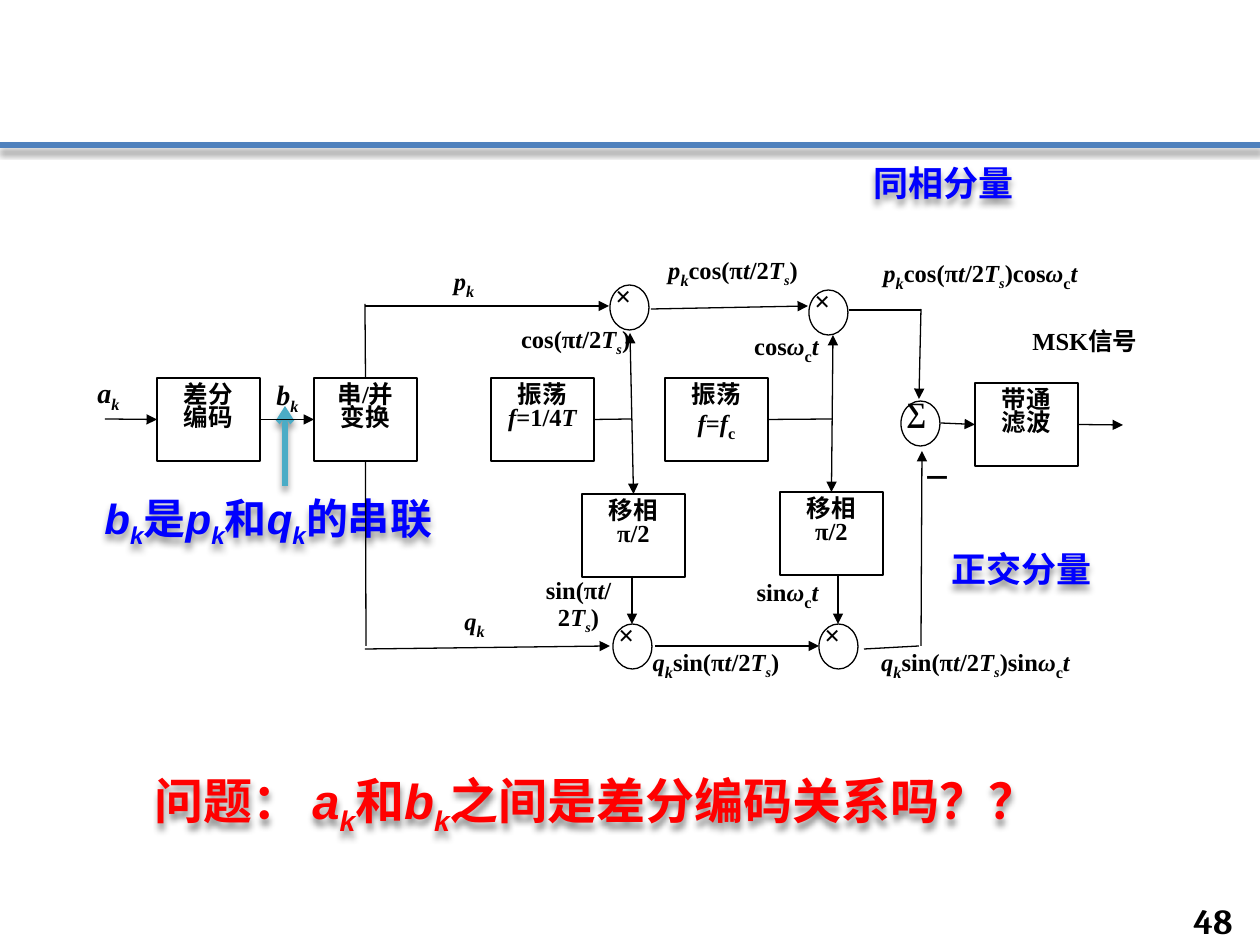
from pptx import Presentation
from pptx.dml.color import RGBColor
from pptx.enum.shapes import MSO_CONNECTOR, MSO_SHAPE
from pptx.enum.text import MSO_ANCHOR, PP_ALIGN
from pptx.oxml.ns import qn
from pptx.util import Emu, Pt
from lxml.etree import SubElement

PX = 914400 / 126
TOP, LEFT, BOTTOM, RIGHT = range(4)
SERIF = "Times New Roman"
BLACK, BLUE, RED = "000000", "0000FF", "FF0000"

# In all texts: ~x is an italic letter, _x an italic subscript, ^x an upright subscript.
BLOCK_SIZE = (103, 83)
BLOCKS = {
    "encoder": (157, 378, "差分\n编码"),
    "splitter": (314, 378, "串/并\n变换"),
    "slow osc": (491, 378, "振荡\n~f=1/4~T"),
    "carrier osc": (665, 378, "振荡\n~f=~f^c"),
    "slow shift": (582, 494, "移相\nπ/2"),
    "carrier shift": (780, 492, "移相\nπ/2"),
    "filter": (975, 383, "带通\n滤波"),
}

NODE_SIZE = (39, 45)
NODES = [
    (610, 285, "×"), (613, 624, "×"), (809, 290, "×"), (819, 624, "×"),
    (901, 401, "∑"),
]

# Each end is a point or a (block, side) pair; then the ends that carry an arrowhead.
WIRES = [
    ((105, 419), ("encoder", LEFT), "tail"),
    (("encoder", RIGHT), ("splitter", LEFT), "tail"),
    (("splitter", TOP), (365, 304), ""),
    ((365, 306), (609, 306), "tail"),
    (("splitter", BOTTOM), (366, 646), ""),
    ((365, 649), (610, 646), "tail"),
    (("slow osc", RIGHT), (631, 419), ""),
    (("slow shift", TOP), (630, 333), "head tail"),
    ((632, 576), (632, 624), "tail"),
    ((651, 309), (808, 306), "tail"),
    (("carrier osc", RIGHT), (833, 419), ""),
    (("carrier shift", TOP), (833, 335), "head tail"),
    ((838, 576), (838, 624), "tail"),
    ((655, 646), (819, 646), "tail"),
    ((849, 310), (921, 310), ""),
    ((921, 309), (919, 399), "tail"),
    ((864, 649), (919, 646), ""),
    ((921, 646), (922, 451), "tail"),
    ((941, 423), ("filter", LEFT), "tail"),
    (("filter", RIGHT), (1123, 425), "tail"),
]

SIGNALS = [
    (77, 373, 63, 50, "~a_k", 16),
    (256, 375, 63, 50, "~b_k", 16),
    (433, 260, 62, 57, "~p_k", 14),
    (438, 600, 73, 50, "~q_k", 14),
    (507, 321, 125, 50, "cos(π~t/2~T_s)", 14),
    (513, 575, 131, 50, "sin(π~t/2~T_s)", 14),
    (721, 325, 131, 50, "cos~ω^c~t", 14),
    (722, 571, 131, 50, "sin~ω^c~t", 14),
    (649, 249, 168, 52, "~p_kcos(π~t/2~T_s)", 14),
    (636, 641, 160, 50, "~q_ksin(π~t/2~T_s)", 14),
    (849, 252, 263, 52, "~p_kcos(π~t/2~T_s)cos~ω^c~t", 14),
    (859, 641, 233, 48, "~q_ksin(π~t/2~T_s)sin~ω^c~t", 14),
    (1005, 325, 160, 50, "MSK信号", 14),
]

REMARKS = [
    (861, 155, 179, 55, "同相分量", 20, BLUE),
    (939, 541, 179, 55, "正交分量", 20, BLUE),
    (92, 486, 384, 63, "~b_k是~p_k和~q_k的串联", 24, BLUE),
    (142, 764, 987, 72, "问题： ~a_k和~b_k之间是差分编码关系吗？？", 28, RED),
]


def px(*lengths):
    return [Emu(round(length * PX)) for length in lengths]


def color(hex_text):
    return RGBColor.from_string(hex_text)


def set_effect(shape, shadow):
    """Give the shape a soft drop shadow, or an empty effect list."""
    effects = SubElement(shape._element.spPr, qn("a:effectLst"))
    if shadow:
        outer = SubElement(effects, qn("a:outerShdw"), blurRad="50800",
                           dist="38100", dir="5400000", rotWithShape="0")
        black = SubElement(outer, qn("a:srgbClr"), val=BLACK)
        SubElement(black, qn("a:alpha"), val="43000")


def split_runs(line):
    """Turn marked text into [mark, text] pairs."""
    runs, mark = [], ""
    for char in line:
        if char in "~_^":
            mark = char
        elif runs and not mark and not runs[-1][0]:
            runs[-1][1] += char
        else:
            runs.append([mark, char])
            mark = ""
    return runs


def write(frame, text, size=14, font=SERIF, ink=BLACK, align=PP_ALIGN.CENTER,
          spacing=0.8, anchor=MSO_ANCHOR.TOP):
    frame.word_wrap = True
    frame.vertical_anchor = anchor
    for index, line in enumerate(text.split("\n")):
        paragraph = frame.add_paragraph() if index else frame.paragraphs[0]
        paragraph.alignment = align
        paragraph.line_spacing = spacing
        for mark, part in split_runs(line):
            run = paragraph.add_run()
            run.text = part
            # Small labels keep their k and c subscripts readable.
            raised = size == 14 and mark in ("_", "^") and part != "s"
            run.font.size = Pt(16 if raised else size)
            run.font.name = font
            run.font.bold = True
            run.font.italic = mark in ("~", "_") and mark != ""
            run.font.color.rgb = color(ink)
            if mark in ("_", "^"):
                run._r.get_or_add_rPr().set("baseline", "-25000")


def add_text(slide, place, text, **text_format):
    box = slide.shapes.add_textbox(*px(*place))
    write(box.text_frame, text, **text_format)
    return box


def add_outline(slide, preset, place):
    shape = slide.shapes.add_shape(preset, *px(*place))
    shape.shadow.inherit = False
    shape.fill.solid()
    shape.fill.fore_color.rgb = color("FFFFFF")
    shape.line.color.rgb = color(BLACK)
    shape.line.width = Pt(0.75)
    return shape


def add_line(slide, start, end, heads="", kind="triangle", ink=BLACK, width=0.75,
             shadow=False, blocks=None):
    ends = [(0, 0) if isinstance(point[0], str) else point for point in (start, end)]
    line = slide.shapes.add_connector(MSO_CONNECTOR.STRAIGHT, *px(*ends[0], *ends[1]))
    for point, connect in ((start, line.begin_connect), (end, line.end_connect)):
        if isinstance(point[0], str):
            connect(blocks[point[0]], point[1])
    line.line.color.rgb = color(ink)
    line.line.width = Pt(width)
    for head in heads.split():
        SubElement(line.line._get_or_add_ln(), qn(f"a:{head}End"), type=kind)
    set_effect(line, shadow)


def main():
    deck = Presentation()
    deck.slide_width, deck.slide_height = px(1260, 945)
    slide = deck.slides.add_slide(deck.slide_layouts[6])

    add_line(slide, (0, 145), (1260, 145), ink="4F81BD", width=3, shadow=True)
    add_text(slide, (1158, 903, 87, 35), "48", size=20, font="Cambria",
             align=PP_ALIGN.RIGHT, spacing=1, anchor=MSO_ANCHOR.MIDDLE)
    for *place, text, size, ink in REMARKS:
        remark = add_text(slide, place, text, size=size, font="Arial", ink=ink,
                          align=PP_ALIGN.LEFT, spacing=1)
        set_effect(remark, True)
    add_line(slide, (285, 486), (285, 406), "tail", "arrow", "4BACC6", 3, True)

    blocks = {}
    for name, (left, top, text) in BLOCKS.items():
        blocks[name] = add_outline(slide, MSO_SHAPE.RECTANGLE, (left, top, *BLOCK_SIZE))
        write(blocks[name].text_frame, text)
    for start, end, heads in WIRES:
        add_line(slide, start, end, heads, blocks=blocks)

    symbol_format = dict(size=16, align=PP_ALIGN.JUSTIFY, spacing=1)
    for left, top, symbol in NODES:
        add_outline(slide, MSO_SHAPE.OVAL, (left, top, *NODE_SIZE))
        add_text(slide, (left - 7, top - 13, 54, 64), symbol, **symbol_format)
    add_text(slide, (911, 454, 57, 63), "－", **symbol_format)
    for *place, text, size in SIGNALS:
        signal = add_text(slide, place, text, size=size)
        if text.startswith("cos(π"):
            signal.text_frame.margin_right = 0

    deck.save("out.pptx")


if __name__ == "__main__":
    main()
